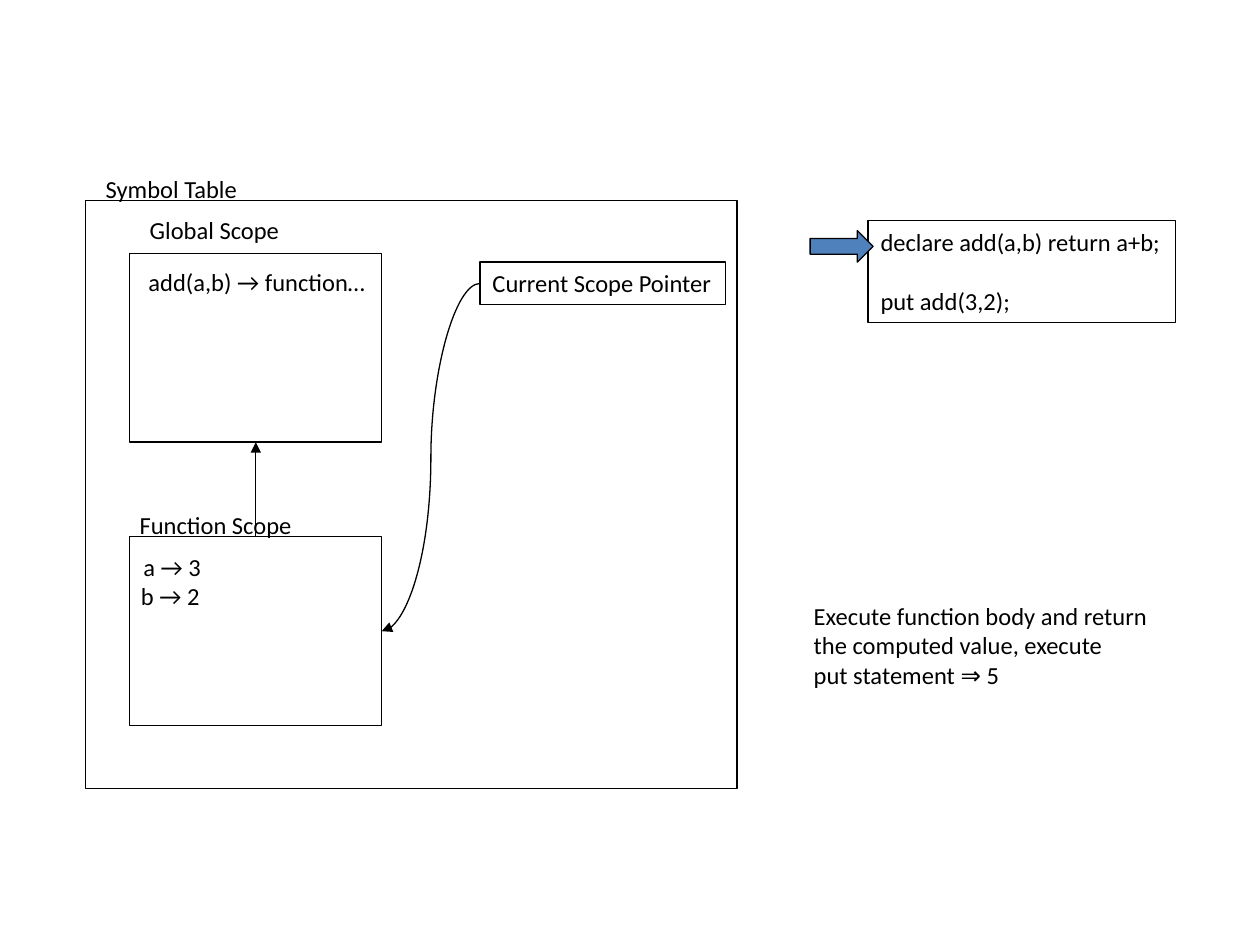
from dataclasses import dataclass

import pptx
import pptx.dml.color
import pptx.enum.shapes
import pptx.enum.text
import pptx.oxml
import pptx.oxml.ns
import pptx.util
from pptx.util import Inches

KIND = pptx.enum.shapes.MSO_SHAPE
LINK = pptx.enum.shapes.MSO_CONNECTOR
BLACK = "000000"
BLUE = "4F81BD"


@dataclass
class Box:
    x: float
    y: float
    w: float
    h: float

    @property
    def mid(self) -> float:
        return self.x + self.w / 2

    @property
    def centre(self) -> float:
        return self.y + self.h / 2


@dataclass
class Label:
    box: Box
    text: str
    framed: bool = False
    gap: float = 0  # points between paragraphs


def paint(fmt, colour: str) -> None:
    """Give a fill or font colour object a hex colour."""
    fmt.rgb = pptx.dml.color.RGBColor.from_string(colour)


def stroke(line) -> None:
    line.fill.solid()
    paint(line.fill.fore_color, BLACK)
    line.width = pptx.util.Pt(0.75)


def place(box: Box) -> list:
    return [Inches(n) for n in (box.x, box.y, box.w, box.h)]


def shape(slide, kind, box: Box, fill: str = "") -> None:
    item = slide.shapes.add_shape(kind, *place(box))
    item.shadow.inherit = False
    stroke(item.line)
    if fill:
        item.fill.solid()
        paint(item.fill.fore_color, fill)
    else:
        item.fill.background()


def write(slide, label: Label) -> None:
    item = slide.shapes.add_textbox(*place(label.box))
    if label.framed:
        stroke(item.line)
    frame = item.text_frame
    frame.word_wrap = False
    frame.auto_size = pptx.enum.text.MSO_AUTO_SIZE.SHAPE_TO_FIT_TEXT
    frame.text = label.text
    for i, para in enumerate(frame.paragraphs):
        if i:
            para.space_before = pptx.util.Pt(label.gap)
        for run in para.runs:
            run.font.size = pptx.util.Pt(14)
            run.font.name = "Calibri"
            paint(run.font.color, BLACK)


def arrow(slide, kind, start: tuple, end: tuple) -> None:
    ends = [Inches(n) for n in start + end]
    item = slide.shapes.add_connector(kind, *ends)
    stroke(item.line)
    head = pptx.oxml.parse_xml(
        f'<a:tailEnd {pptx.oxml.ns.nsdecls("a")} type="triangle"/>')
    item.line._get_or_add_ln().append(head)
    none = pptx.oxml.parse_xml(f'<a:effectLst {pptx.oxml.ns.nsdecls("a")}/>')
    item._element.spPr.append(none)


TABLE = Box(0.68, 1.59, 5.17, 4.67)
GLOBAL = Box(1.03, 2.01, 2, 1.5)
LOCAL = Box(1.03, 4.26, 2, 1.5)
POINTER = Box(3.81, 2.08, 1.95, 0.34)
STEP = Box(6.43, 1.83, 0.5, 0.25)

LABELS = [
    Label(Box(6.89, 1.75, 2.44, 0.81),
          "declare add(a,b) return a+b;\nput add(3,2);", True, 17),
    Label(Box(1.09, 1.66, 1.24, 0.34), "Global Scope"),
    Label(Box(1.01, 4, 1.46, 0.34), "Function Scope"),
    Label(POINTER, "Current Scope Pointer", True),
    Label(Box(0.74, 1.33, 1.25, 0.34), "Symbol Table"),
    Label(Box(1.08, 2.07, 1.96, 0.34), "add(a,b) → function…"),
    Label(Box(1.04, 4.33, 0.68, 0.34), "a → 3"),
    Label(Box(1.02, 4.56, 0.69, 0.34), "b → 2"),
    Label(Box(6.36, 4.72, 2.88, 0.81),
          "Execute function body and return\vthe computed value, execute"
          "\vput statement ⇒ 5"),
]


def main() -> None:
    deck = pptx.Presentation()
    deck.slide_width, deck.slide_height = Inches(10), Inches(7.5)
    slide = deck.slides.add_slide(deck.slide_layouts[6])
    for box in (TABLE, GLOBAL, LOCAL):
        shape(slide, KIND.RECTANGLE, box)
    arrow(slide, LINK.STRAIGHT, (LOCAL.mid, LOCAL.y),
          (GLOBAL.mid, GLOBAL.y + GLOBAL.h))
    for label in LABELS:
        write(slide, label)
    arrow(slide, LINK.CURVE, (POINTER.x, POINTER.centre),
          (LOCAL.x + LOCAL.w, LOCAL.centre))
    shape(slide, KIND.RIGHT_ARROW, STEP, BLUE)
    deck.save("out.pptx")


if __name__ == "__main__":
    main()
